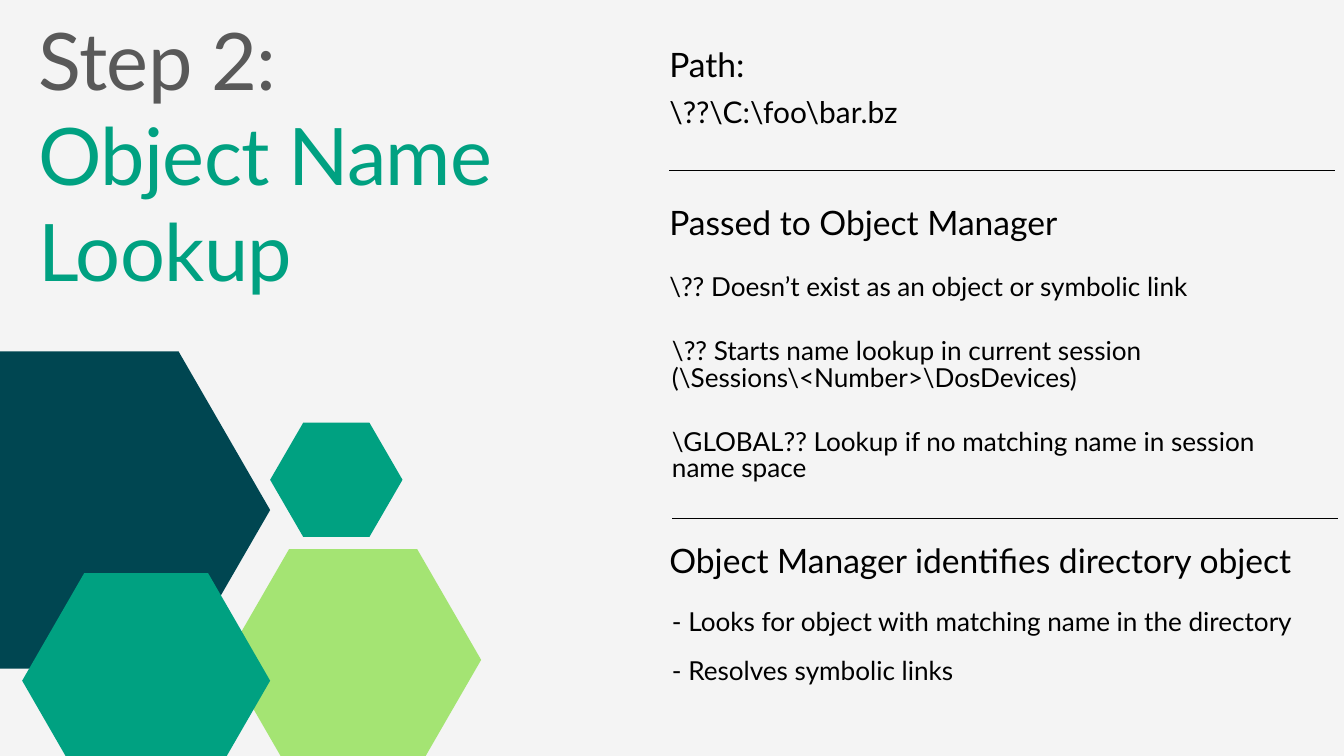
from lxml import etree
from pptx import Presentation
from pptx import util as u
from pptx.dml.color import RGBColor
from pptx.enum import shapes, text
from pptx.oxml import ns

COLORS = {
    "background": "F4F4F4",
    "step": "595959",
    "green": "00A181",
    "petrol": "004651",
    "lime": "A4E473",
    "ink": "000000",
}
FONT = "Lato"


def rgb(name):
    return RGBColor.from_string(COLORS[name])


def add_text(left, top, width, height, lines, size, leading, spacing=None):
    """Add a margin-free text box with one paragraph per (wording, colour)."""
    box = slide.shapes.add_textbox(
        u.Inches(left), u.Inches(top), u.Inches(width), u.Inches(height))
    frame = box.text_frame
    frame.word_wrap = True
    frame.auto_size = text.MSO_AUTO_SIZE.NONE
    frame.margin_left = frame.margin_right = u.Inches(0)
    frame.margin_top = frame.margin_bottom = u.Inches(0)
    for i, (wording, color) in enumerate(lines):
        paragraph = frame.paragraphs[0] if i == 0 else frame.add_paragraph()
        paragraph.line_spacing = u.Pt(leading)
        run = paragraph.add_run()
        run.text = wording
        run.font.name = FONT
        run.font.size = u.Pt(size)
        run.font.color.rgb = rgb(color)
        if spacing is not None:
            run.font._element.set("spc", str(spacing))


prs = Presentation()
prs.slide_width = u.Inches(20)
prs.slide_height = u.Inches(11.25)
slide = prs.slides.add_slide(prs.slide_layouts[6])
slide.background.fill.solid()
slide.background.fill.fore_color.rgb = rgb("background")

# Title
add_text(0.58, 0.17, 7.54, 4.25,
         [("Step 2:", "step"), ("Object Name Lookup", "green")],
         85, 102, spacing=-80)

# Hexagons: the slanted sides take a quarter of the width each
hexagons = [
    (-1.43, 5.23, 5.45, 4.72, "petrol"),
    (3.35, 8.17, 3.81, 3.3, "lime"),
    (4.02, 6.29, 1.97, 1.7, "green"),
    (0.33, 8.53, 3.69, 3.2, "green"),
]
corners = [(0.25, 0), (0.75, 0), (1, 0.5), (0.75, 1), (0.25, 1)]
for left, top, width, height, color in hexagons:
    builder = slide.shapes.build_freeform(
        u.Inches(left), u.Inches(top + height / 2))
    builder.add_line_segments(
        [(u.Inches(left + x * width), u.Inches(top + y * height))
         for x, y in corners], close=True)
    hexagon = builder.convert_to_shape()
    hexagon.shadow.inherit = False
    hexagon.fill.solid()
    hexagon.fill.fore_color.rgb = rgb(color)
    hexagon.line.fill.background()

# Section headings
headings = [
    (0.65, "Path:"),
    (3, "Passed to Object Manager"),
    (8.04, "Object Manager identifies directory object"),
]
for top, wording in headings:
    add_text(9.96, top, 9.91, 0.6, [(wording, "ink")], 36, 43.2)

# Section details
details = [
    (9.96, 1.54, 32, ["\\??\\C:\\foo\\bar.bz"]),
    (9.96, 4.1, 28, ["\\?? Doesn’t exist as an object or symbolic link"]),
    (10, 5.06, 28, ["\\?? Starts name lookup in current session "
                    "(\\Sessions\\<Number>\\DosDevices)"]),
    (10, 6.41, 28, ["\\GLOBAL?? Lookup if no matching name in session",
                    "name space"]),
    (10, 9.08, 28, ["- Looks for object with matching name in the directory"]),
    (10, 9.82, 28, ["- Resolves symbolic links"]),
]
for left, top, size, wordings in details:
    height = 0.79 if top in (5.06, 6.41) else 0.4
    add_text(left, top, 10.5, height, [(w, "ink") for w in wordings], size, 28)

# Divider lines
for left, top in [(9.96, 2.54), (10, 7.71)]:
    divider = slide.shapes.add_connector(
        shapes.MSO_CONNECTOR.STRAIGHT, u.Inches(left), u.Inches(top),
        u.Inches(left + 9.91), u.Inches(top))
    divider.line.color.rgb = rgb("ink")
    divider.line.width = u.Pt(0.75)
    etree.SubElement(divider._element.spPr, ns.qn("a:effectLst"))

prs.save("out.pptx")
